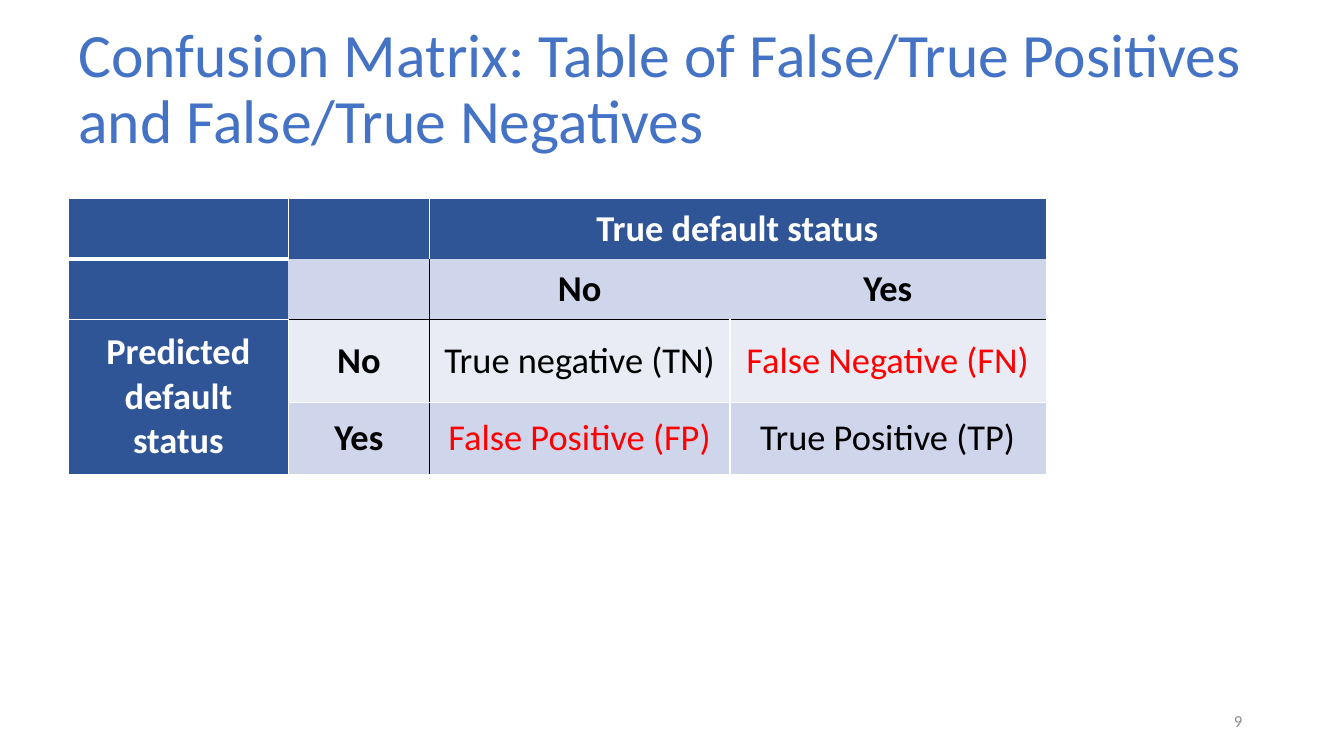
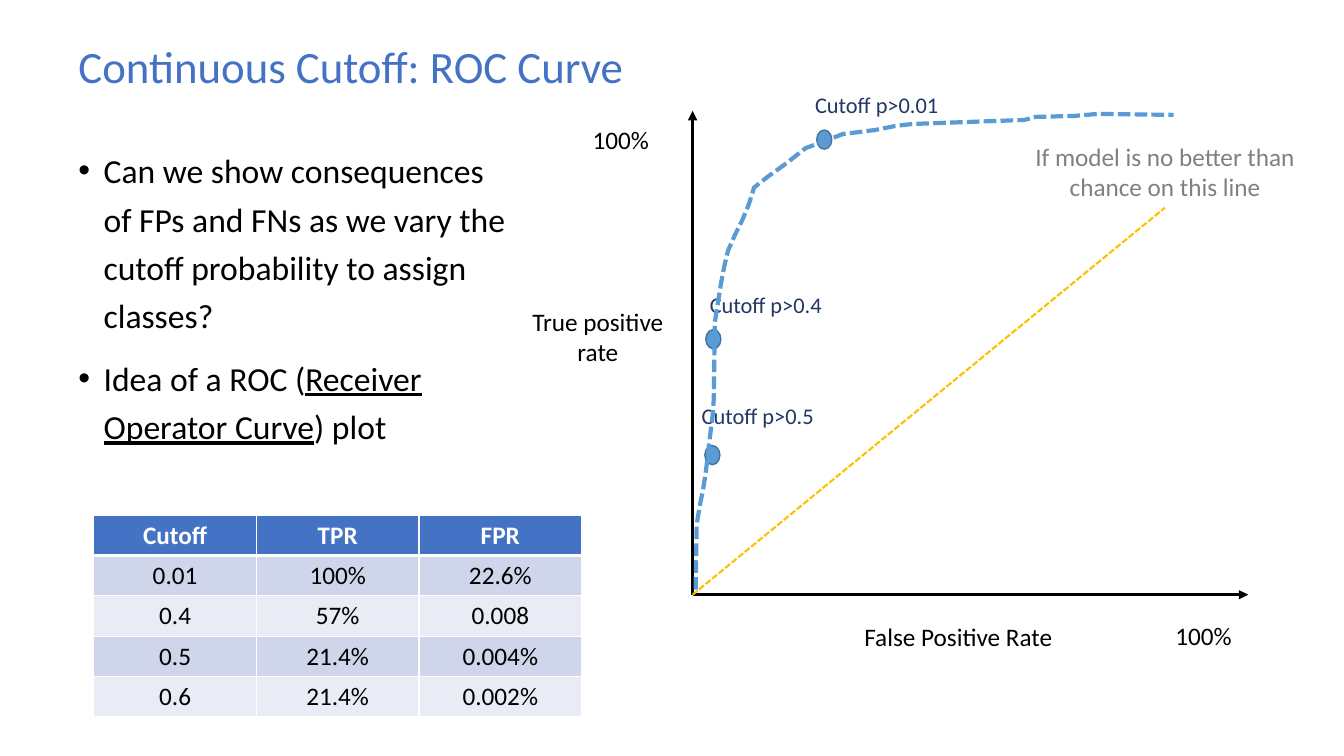
from dataclasses import dataclass

from lxml.etree import SubElement
from pptx import Presentation
from pptx.dml.color import RGBColor
from pptx.enum.dml import MSO_LINE
from pptx.enum.shapes import MSO_CONNECTOR, MSO_SHAPE
from pptx.enum.text import MSO_ANCHOR, PP_ALIGN
from pptx.oxml.ns import qn
from pptx.util import Inches, Pt


@dataclass(frozen=True)
class Theme:
    font: str = "Calibri"
    title: str = "4472C4"
    header: str = "2F5597"
    band_dark: str = "CFD5EA"
    band_light: str = "E9EBF5"
    ink: str = "000000"
    paper: str = "FFFFFF"
    error: str = "FF0000"
    muted: str = "808080"
    page_number: str = "8C8C8C"
    curve: str = "5B9BD5"
    dot_edge: str = "43739E"
    cutoff: str = "203864"
    chance: str = "FFC000"
    title_size: int = 44
    small_title_size: int = 32
    matrix_size: int = 26
    body_size: int = 24
    label_size: int = 18
    cutoff_size: int = 16
    number_size: int = 12


@dataclass(frozen=True)
class Box:
    left: float
    top: float
    width: float
    height: float

    def inches(self):
        return [Inches(n) for n in (self.left, self.top, self.width, self.height)]

    def inner(self, dx, dy, width, height):
        """Box whose corner is offset from this box's corner."""
        return Box(self.left + dx, self.top + dy, width, height)


THEME = Theme()
NO_TABLE_STYLE = "{2D5ABB26-0587-4C30-8999-92F81FD0307C}"
CURVE_POINTS = [
    (0.03, 4.75), (0.04, 4.12), (0.05, 4.04), (0.08, 3.87), (0.1, 3.78),
    (0.13, 3.59), (0.17, 3.25), (0.2, 3.01), (0.21, 2.85), (0.22, 2.1),
    (0.25, 1.91), (0.28, 1.72), (0.31, 1.56), (0.35, 1.39), (0.42, 1.23),
    (0.49, 1.09), (0.56, 0.92), (0.61, 0.76), (0.75, 0.65), (0.93, 0.52),
    (1.12, 0.37), (1.31, 0.3), (1.49, 0.23), (1.81, 0.19), (2.01, 0.15),
    (2.18, 0.13), (3.29, 0.09), (3.4, 0.06), (3.79, 0.05), (4.02, 0.03),
    (4.77, 0.04),
]
# label, label offset, dot offset within the plot
CUTOFFS = [
    ("Cutoff p>0.5", (-0.08, 2.84), (0.12, 3.32)),
    ("Cutoff p>0.4", (0, 1.74), (0.13, 2.17)),
    ("Cutoff p>0.01", (1.1, -0.24), (1.23, 0.19)),
]


def rgb(color):
    return RGBColor.from_string(color)


def style_text(frame, size, color, align=PP_ALIGN.LEFT, bold=False):
    for paragraph in frame.paragraphs:
        paragraph.alignment = align
        for run in paragraph.runs:
            run.font.name = THEME.font
            run.font.size = Pt(size)
            run.font.bold = bold
            run.font.color.rgb = rgb(color)


def add_label(slide, box, text, size, color, align=PP_ALIGN.CENTER, anchor=MSO_ANCHOR.TOP):
    label = slide.shapes.add_textbox(*box.inches())
    frame = label.text_frame
    frame.word_wrap = True
    frame.vertical_anchor = anchor
    frame.text = text
    style_text(frame, size, color, align)
    return label


def add_title(slide, box, text, size):
    title = add_label(slide, box, text, size, THEME.title, PP_ALIGN.LEFT, MSO_ANCHOR.MIDDLE)
    title.text_frame.paragraphs[0].line_spacing = 0.9


def add_bullets(slide, box, bullets):
    """Each bullet is a list of (text, underlined) runs."""
    frame = slide.shapes.add_textbox(*box.inches()).text_frame
    frame.word_wrap = True
    for index, parts in enumerate(bullets):
        paragraph = frame.add_paragraph() if index else frame.paragraphs[0]
        properties = paragraph._p.get_or_add_pPr()
        properties.set("marL", str(Inches(0.25)))
        properties.set("indent", str(Inches(-0.25)))
        SubElement(properties, qn("a:buFont"), typeface="Arial")
        SubElement(properties, qn("a:buChar"), char="•")
        paragraph.line_spacing = 1.2
        paragraph.space_before = Pt(10 if index else 0)
        for text, underlined in parts:
            run = paragraph.add_run()
            run.text = text
            run.font.underline = underlined
    style_text(frame, THEME.body_size, THEME.ink)


def add_border(cell, side, color, width=1):
    edge = SubElement(cell._tc.get_or_add_tcPr(), qn("a:ln" + side), w=str(Pt(width)))
    fill = SubElement(edge, qn("a:solidFill"))
    SubElement(fill, qn("a:srgbClr"), val=color)


def add_plain_table(slide, box, widths, heights):
    table = slide.shapes.add_table(len(heights), len(widths), *box.inches()).table
    table._tbl.tblPr.find(qn("a:tableStyleId")).text = NO_TABLE_STYLE
    for column, width in zip(table.columns, widths):
        column.width = Inches(width)
    for row, height in zip(table.rows, heights):
        row.height = Inches(height)
    return table


def fill_cell(cell, text, fill, size, color, bold):
    cell.fill.solid()
    cell.fill.fore_color.rgb = rgb(fill)
    cell.text_frame.text = text
    style_text(cell.text_frame, size, color, PP_ALIGN.CENTER, bold)


def add_confusion_matrix(slide, box):
    rows = [
        ["", "", "True default status", ""],
        ["", "", "No", "Yes"],
        ["Predicted default status", "No", "True negative (TN)", "False Negative (FN)"],
        ["", "Yes", "False Positive (FP)", "True Positive (TP)"],
    ]
    table = add_plain_table(slide, box, [2.18, 1.4, 2.98, 3.13], [0.6, 0.6, 0.82, 0.71])
    table.cell(0, 2).merge(table.cell(0, 3))
    table.cell(2, 0).merge(table.cell(3, 0))
    for r, row in enumerate(rows):
        for c, text in enumerate(row):
            cell = table.cell(r, c)
            is_header = r == 0 or c == 0
            if c == 1 and r > 0:
                add_border(cell, "R", THEME.ink)
            elif c < 3 and (r, c) not in ((1, 0), (1, 2), (0, 2)):
                add_border(cell, "R", THEME.paper)
            if c == 0 and r < 2:
                add_border(cell, "B", THEME.paper, 1 if r else 3)
            elif c > 0 and r in (1, 2):
                add_border(cell, "B", THEME.ink if r == 1 else THEME.paper)
            band = THEME.band_dark if r % 2 else THEME.band_light
            color = THEME.paper if is_header else THEME.ink
            if text.startswith("False"):
                color = THEME.error
            fill_cell(cell, text, THEME.header if is_header else band,
                      THEME.matrix_size, color, is_header or r == 1 or c == 1)
            cell.vertical_anchor = MSO_ANCHOR.MIDDLE


def add_rates_table(slide, box):
    rows = [
        ("Cutoff", "TPR", "FPR"),
        ("0.01", "100%", "22.6%"),
        ("0.4", "57%", "0.008"),
        ("0.5", "21.4%", "0.004%"),
        ("0.6", "21.4%", "0.002%"),
    ]
    columns = len(rows[0])
    table = add_plain_table(slide, box, [box.width / columns] * columns,
                            [box.height / len(rows)] * len(rows))
    for r, row in enumerate(rows):
        for c, text in enumerate(row):
            cell = table.cell(r, c)
            for side in "LRTB":
                thick = (r, side) in ((0, "B"), (1, "T"))
                add_border(cell, side, THEME.paper, 3 if thick else 1)
            band = THEME.band_dark if r % 2 else THEME.band_light
            fill_cell(cell, text, band if r else THEME.title, THEME.label_size,
                      THEME.ink if r else THEME.paper, r == 0)


def add_line(slide, start, end, color, width):
    line = slide.shapes.add_connector(
        MSO_CONNECTOR.STRAIGHT, *[Inches(n) for n in (*start, *end)])
    line.line.color.rgb = rgb(color)
    line.line.width = Pt(width)
    SubElement(line._element.spPr, qn("a:effectLst"))
    return line


def add_axis(slide, start, end):
    axis = add_line(slide, start, end, THEME.ink, 2.25)
    SubElement(axis.line._get_or_add_ln(), qn("a:tailEnd"), type="triangle")


def add_cutoff(slide, plot, text, label_offset, dot_offset):
    dot = slide.shapes.add_shape(
        MSO_SHAPE.OVAL, *plot.inner(*dot_offset, 0.15, 0.19).inches())
    dot.shadow.inherit = False
    dot.fill.solid()
    dot.fill.fore_color.rgb = rgb(THEME.curve)
    dot.line.color.rgb = rgb(THEME.dot_edge)
    dot.line.width = Pt(1)
    add_label(slide, plot.inner(*label_offset, 1.45, 0.37), text,
              THEME.cutoff_size, THEME.cutoff)


def add_curve(slide, plot):
    points = [(Inches(plot.left + x), Inches(plot.top + y)) for x, y in CURVE_POINTS]
    builder = slide.shapes.build_freeform(*points[0], scale=1.0)
    builder.add_line_segments(points[1:], close=False)
    curve = builder.convert_to_shape()
    curve.shadow.inherit = False
    curve.fill.background()
    curve.line.color.rgb = rgb(THEME.curve)
    curve.line.width = Pt(3)
    curve.line.dash_style = MSO_LINE.SQUARE_DOT


def add_roc_plot(slide, plot):
    origin = (plot.left, plot.top + plot.height)
    add_axis(slide, origin, (plot.left, plot.top))
    add_axis(slide, origin, (plot.left + plot.width, origin[1]))
    for text, area, align in [
        ("True positive\nrate", (-1.89, 1.89, 1.9, 0.87), PP_ALIGN.CENTER),
        ("False Positive Rate", (1.38, 5.01, 2.51, 0.49), PP_ALIGN.CENTER),
        ("100%", (-1.09, 0.08, 0.92, 0.49), PP_ALIGN.LEFT),
        ("100%", (4.69, 5, 0.92, 0.49), PP_ALIGN.LEFT),
    ]:
        add_label(slide, plot.inner(*area), text, THEME.label_size, THEME.ink, align)
    chance_box = plot.inner(3.13, 0.25, 3.11, 0.71)
    chance_note = add_label(slide, chance_box, "If model is no better than chance on this line",
                            THEME.label_size, THEME.muted)
    chance_end = (chance_box.left + chance_box.width / 2, chance_box.top + chance_box.height)
    chance_line = add_line(slide, origin, chance_end, THEME.chance, 1.5)
    chance_line.line.dash_style = MSO_LINE.SQUARE_DOT
    chance_line.end_connect(chance_note, 2)
    for cutoff in CUTOFFS:
        add_cutoff(slide, plot, *cutoff)
    add_curve(slide, plot)


def build_matrix_slide(slide):
    add_label(slide, Box(9.42, 6.95, 3, 0.4), "9", THEME.number_size, THEME.page_number,
              PP_ALIGN.RIGHT, MSO_ANCHOR.MIDDLE)
    add_title(slide, Box(0.68, 0.09, 11.89, 1.62),
              "Confusion Matrix: Table of False/True Positives and False/True Negatives",
              THEME.title_size)
    add_confusion_matrix(slide, Box(0.68, 1.97, 9.69, 2.73))


def build_roc_slide(slide):
    add_title(slide, Box(0.68, 0.09, 11.89, 1.18), "Continuous Cutoff: ROC Curve",
              THEME.small_title_size)
    add_bullets(slide, Box(0.68, 1.36, 4.57, 3.5), [
        [("Can we show consequences of FPs and FNs as we vary the cutoff "
          "probability to assign classes?", False)],
        [("Idea of a ROC (", False), ("Receiver Operator Curve", True), (") plot", False)],
    ])
    add_rates_table(slide, Box(0.93, 5.11, 4.84, 2))
    add_roc_plot(slide, Box(6.87, 1.1, 5.51, 4.8))


def main():
    deck = Presentation()
    deck.slide_width, deck.slide_height = Inches(13.33), Inches(7.5)
    for build in (build_matrix_slide, build_roc_slide):
        build(deck.slides.add_slide(deck.slide_layouts[6]))
    deck.save("out.pptx")


if __name__ == "__main__":
    main()
